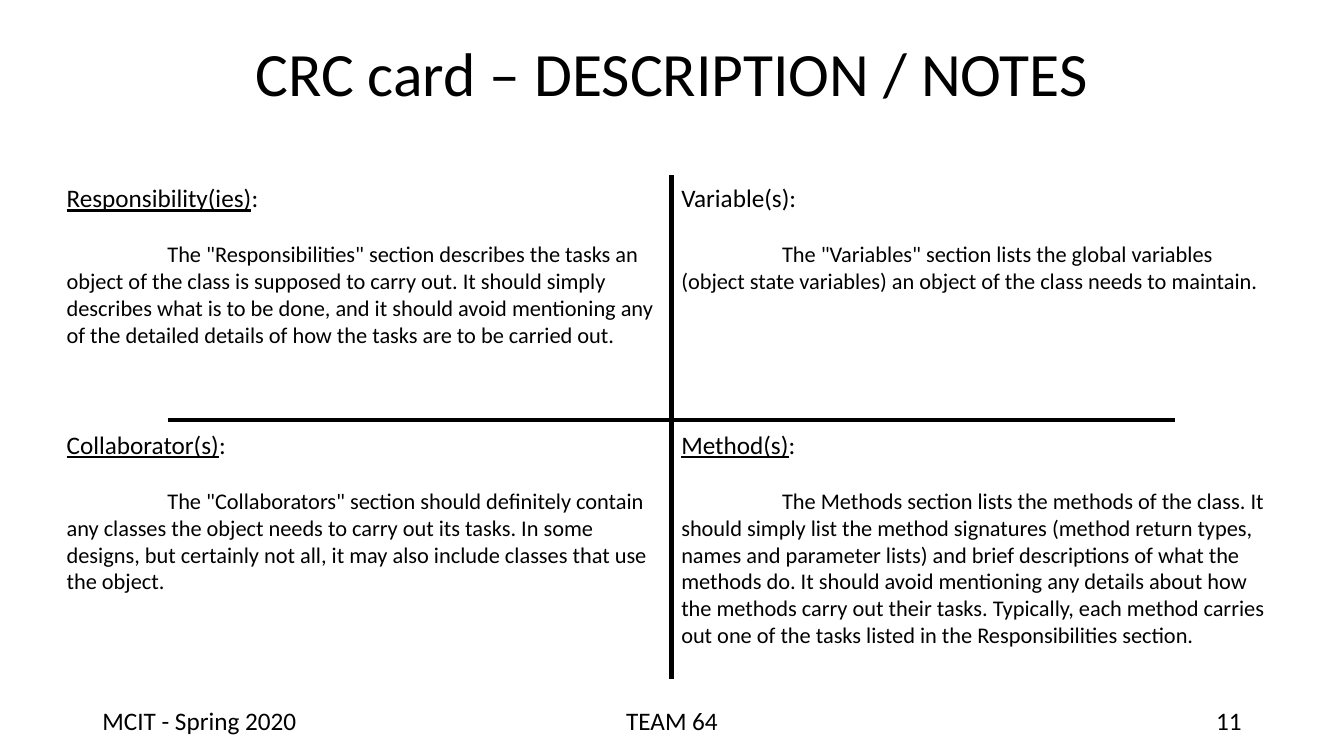
from lxml.etree import SubElement
from pptx import Presentation
from pptx.dml.color import RGBColor
from pptx.enum.shapes import MSO_CONNECTOR
from pptx.enum.text import MSO_ANCHOR, PP_ALIGN
from pptx.oxml.ns import qn
from pptx.util import Cm, Pt

BLACK = RGBColor(0x00, 0x00, 0x00)
FONT = "Calibri"

deck = Presentation()
deck.slide_width, deck.slide_height = Cm(33.87), Cm(19.05)
slide = deck.slides.add_slide(deck.slide_layouts[6])


def add_frame(left, top, width, height, inset=0.25):
    """Add a wrapping text box (lengths in cm) and return its text frame."""
    frame = slide.shapes.add_textbox(Cm(left), Cm(top), Cm(width), Cm(height)).text_frame
    frame.word_wrap = True
    frame.margin_left = frame.margin_right = Cm(inset)
    frame.margin_top = frame.margin_bottom = Cm(0.13)
    return frame


def add_run(paragraph, text, size, underline=False):
    """Append one black run to a paragraph."""
    run = paragraph.add_run()
    run.text = text
    run.font.name, run.font.size = FONT, Pt(size)
    run.font.color.rgb = BLACK
    run.font.underline = underline


# Title
title = add_frame(2.33, 0.08, 29.21, 3.68)
title.vertical_anchor = MSO_ANCHOR.MIDDLE
title.paragraphs[0].alignment = PP_ALIGN.CENTER
title.paragraphs[0].line_spacing = 0.9
add_run(title.paragraphs[0], "CRC card – DESCRIPTION / NOTES", 44)

# Cross that divides the card
for x1, y1, x2, y2 in [(16.92, 4.42, 16.92, 17.12), (4.24, 10.59, 29.62, 10.59)]:
    divider = slide.shapes.add_connector(
        MSO_CONNECTOR.STRAIGHT, Cm(x1), Cm(y1), Cm(x2), Cm(y2))
    divider.line.color.rgb = BLACK
    divider.line.width = Pt(3)
    SubElement(divider.element.spPr, qn("a:effectLst"))

# Quadrants, row by row: underlined heading, plain heading, description
quadrants = [
    ("Responsibility(ies)", ":",
     'The "Responsibilities" section describes the tasks an object of the class is '
     "supposed to carry out. It should simply describes what is to be done, and it "
     "should avoid mentioning any of the detailed details of how the tasks are to be "
     "carried out."),
    ("", "Variable(s):",
     'The "Variables" section lists the global variables (object state variables) an '
     "object of the class needs to maintain."),
    ("Collaborator(s)", ":",
     'The "Collaborators" section should definitely contain any classes the object '
     "needs to carry out its tasks. In some designs, but certainly not all, it may "
     "also include classes that use the object."),
    ("Method(s)", ":",
     "The Methods section lists the methods of the class. It should simply list the "
     "method signatures (method return types, names and parameter lists) and brief "
     "descriptions of what the methods do. It should avoid mentioning any details "
     "about how the methods carry out their tasks. Typically, each method carries out "
     "one of the tasks listed in the Responsibilities section."),
]
for index, (underlined, plain, description) in enumerate(quadrants):
    row, column = divmod(index, 2)
    quadrant = add_frame(1.55 + column * 15.49, 4.47 + row * 6.22, 15.24, 6.35, inset=0.13)
    heading = quadrant.paragraphs[0]
    if underlined:
        add_run(heading, underlined, 18, underline=True)
    add_run(heading, plain, 18)
    body = quadrant.add_paragraph()
    body.space_before = Pt(19.5)
    body._p.get_or_add_pPr().set("indent", str(Cm(2.54)))
    add_run(body, description, 16)

# Footer
for left, width, alignment, text in [
    (2.33, 7.62, PP_ALIGN.LEFT, "MCIT - Spring 2020"),
    (11.22, 11.43, PP_ALIGN.CENTER, "TEAM 64"),
    (23.92, 7.62, PP_ALIGN.RIGHT, "11"),
]:
    footer = add_frame(left, 17.65, width, 1.02).paragraphs[0]
    footer.alignment = alignment
    add_run(footer, text, 18)

deck.save("out.pptx")
